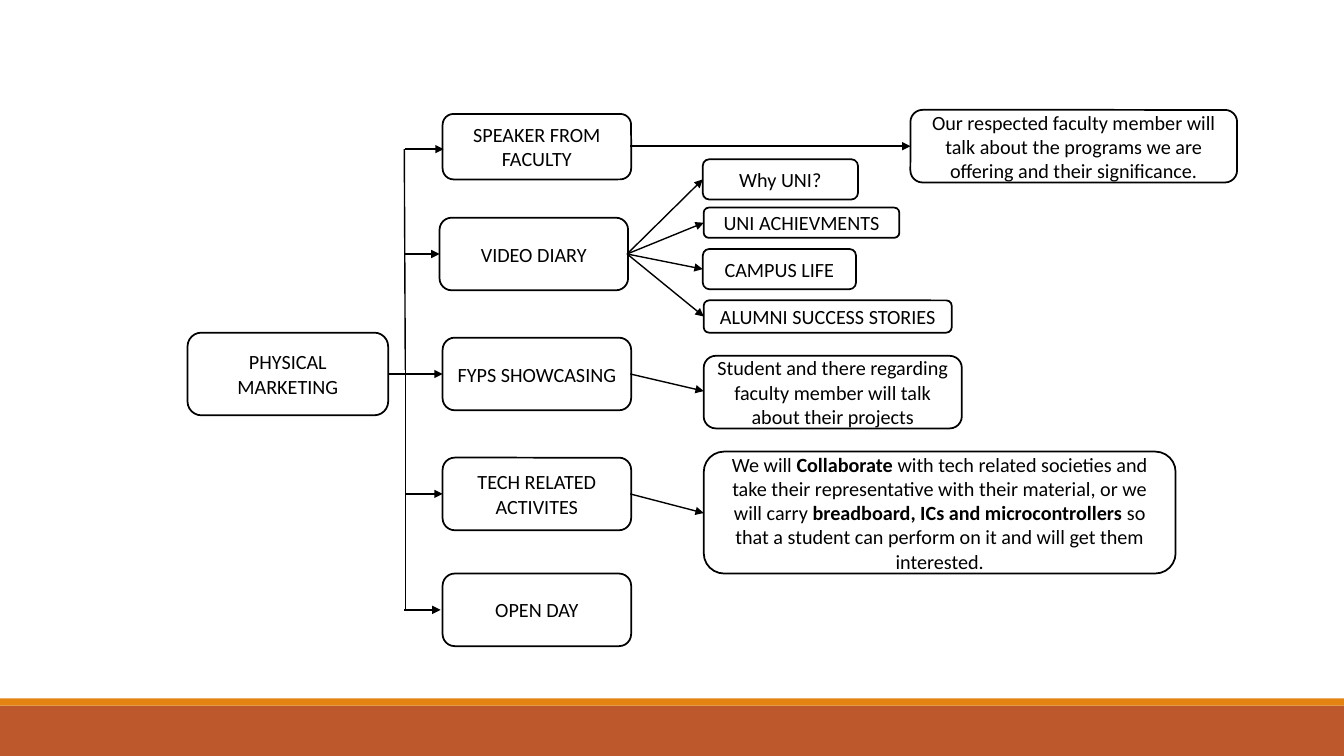
"""Build the physical marketing tree slide."""
from pptx import Presentation
from pptx.dml.color import RGBColor
from pptx.enum.shapes import MSO_CONNECTOR, MSO_SHAPE
from pptx.enum.text import MSO_ANCHOR, PP_ALIGN
from pptx.oxml.ns import qn
from pptx.util import Pt
from lxml.etree import SubElement

PX = 9144
BLACK, WHITE = "000000", "FFFFFF"


def color(code):
    return RGBColor.from_string(code)


def write(shape, text, size=14.4, font="Calibri", ink=BLACK, after=6):
    frame = shape.text_frame
    frame.word_wrap = True
    frame.vertical_anchor = MSO_ANCHOR.MIDDLE
    par = frame.paragraphs[0]
    par.alignment = PP_ALIGN.CENTER
    par.space_after = Pt(after)
    for i, part in enumerate(text.split("*")):
        run = par.add_run()
        run.text = part
        run.font.size = Pt(size)
        run.font.name = font
        run.font.bold = i % 2 == 1
        run.font.color.rgb = color(ink)


deck = Presentation()
deck.slide_width, deck.slide_height = 1333 * PX, 750 * PX
slide = deck.slides.add_slide(deck.slide_layouts[6])
shapes = slide.shapes

for top, height, fill in [(700, 50, "BD582C"), (693, 7, "E48312")]:
    band = shapes.add_shape(MSO_SHAPE.RECTANGLE, 0, top * PX, 1333 * PX, height * PX)
    band.shadow.inherit = False
    band.fill.solid()
    band.fill.fore_color.rgb = color(fill)
    band.line.fill.background()

boxes = [
    ("PHYSICAL MARKETING", 186, 330, 199, 82),
    ("SPEAKER FROM FACULTY", 439, 113, 187, 65),
    ("VIDEO DIARY", 436, 216, 187, 72),
    ("FYPS SHOWCASING", 439, 335, 187, 72),
    ("TECH RELATED ACTIVITES", 439, 454, 187, 72),
    ("OPEN DAY", 439, 569, 187, 72),
    ("Our respected faculty member will talk about the programs we are "
     "offering and their significance.", 903, 109, 324, 72),
    ("Why UNI?", 697, 158, 154, 40),
    ("UNI ACHIEVMENTS", 698, 206, 194, 30),
    ("CAMPUS LIFE", 697, 247, 152, 40),
    ("ALUMNI SUCCESS STORIES", 698, 298, 246, 32),
    ("Student and there regarding faculty member will talk about their projects",
     698, 353, 256, 72),
    ("We will *Collaborate *with tech related societies and take their "
     "representative with their material, or we will carry *breadboard, ICs "
     "and microcontrollers* so that a student can perform on it and will get "
     "them interested.", 698, 448, 468, 121),
]
for text, *place in boxes:
    box = shapes.add_shape(MSO_SHAPE.ROUNDED_RECTANGLE, *[n * PX for n in place])
    box.shadow.inherit = False
    box.fill.solid()
    box.fill.fore_color.rgb = color(WHITE)
    box.line.color.rgb = color(BLACK)
    box.line.width = Pt(1.25)
    write(box, text)

trunk = [(385, 371, 402, 371), (402, 363, 402, 605), (402, 367, 401, 148)]
stems = [(402, 148, 440, 148), (401, 252, 436, 252), (402, 371, 439, 371),
         (402, 490, 439, 490), (401, 605, 437, 605)]
video = [(622, 252, x, y) for x, y in [(697, 178), (698, 221), (697, 267), (698, 314)]]
notes = [(625, 145, 903, 145), (625, 371, 698, 388), (625, 490, 698, 509)]

for ends in trunk + stems + video + notes:
    link = shapes.add_connector(MSO_CONNECTOR.STRAIGHT, *[n * PX for n in ends])
    link.line.color.rgb = color(BLACK)
    link.line.width = Pt(1)
    props = link._element.spPr
    if ends not in trunk:
        SubElement(props.find(qn("a:ln")), qn("a:tailEnd"), type="triangle")
    SubElement(props, qn("a:effectLst"))

deck.save("out.pptx")
